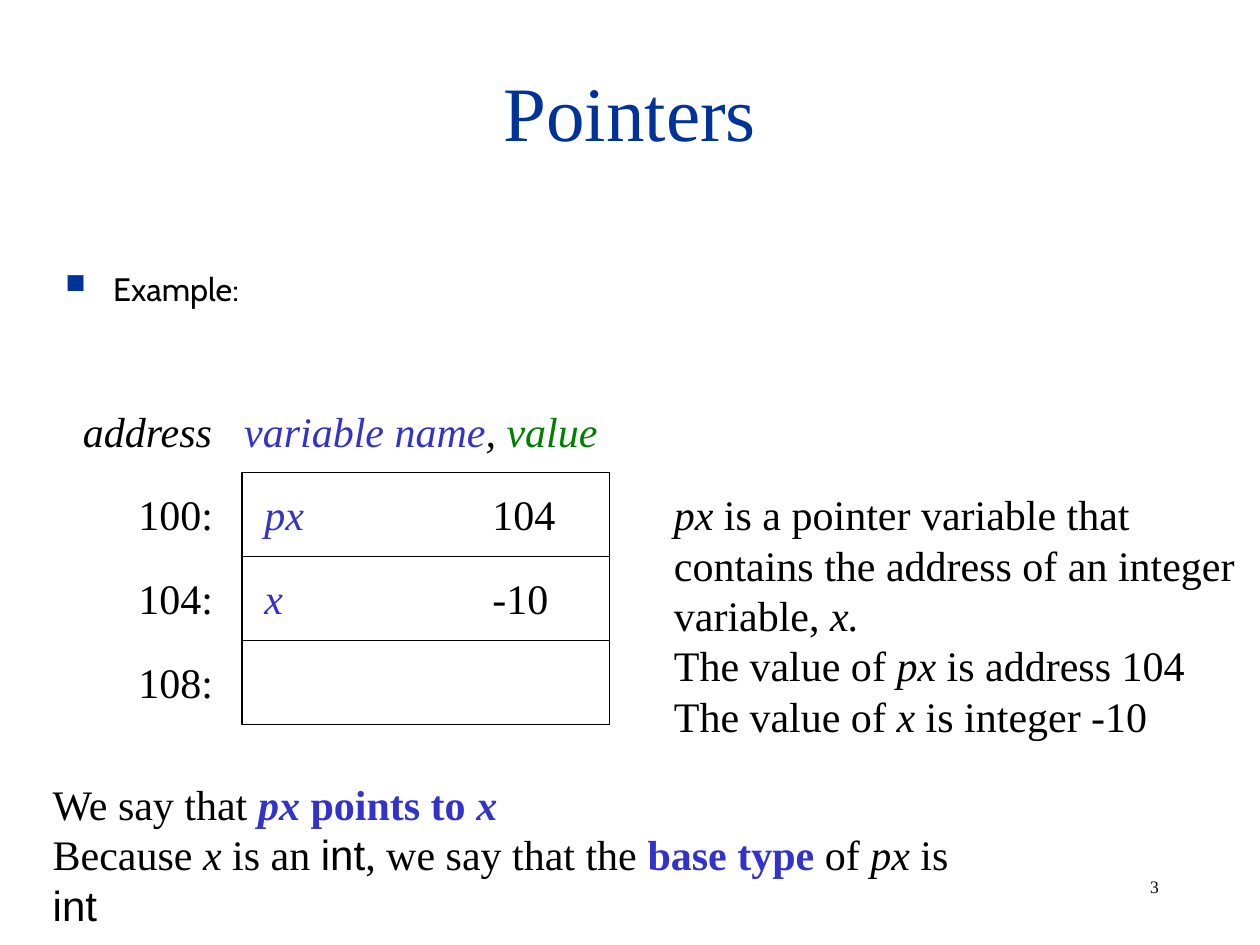
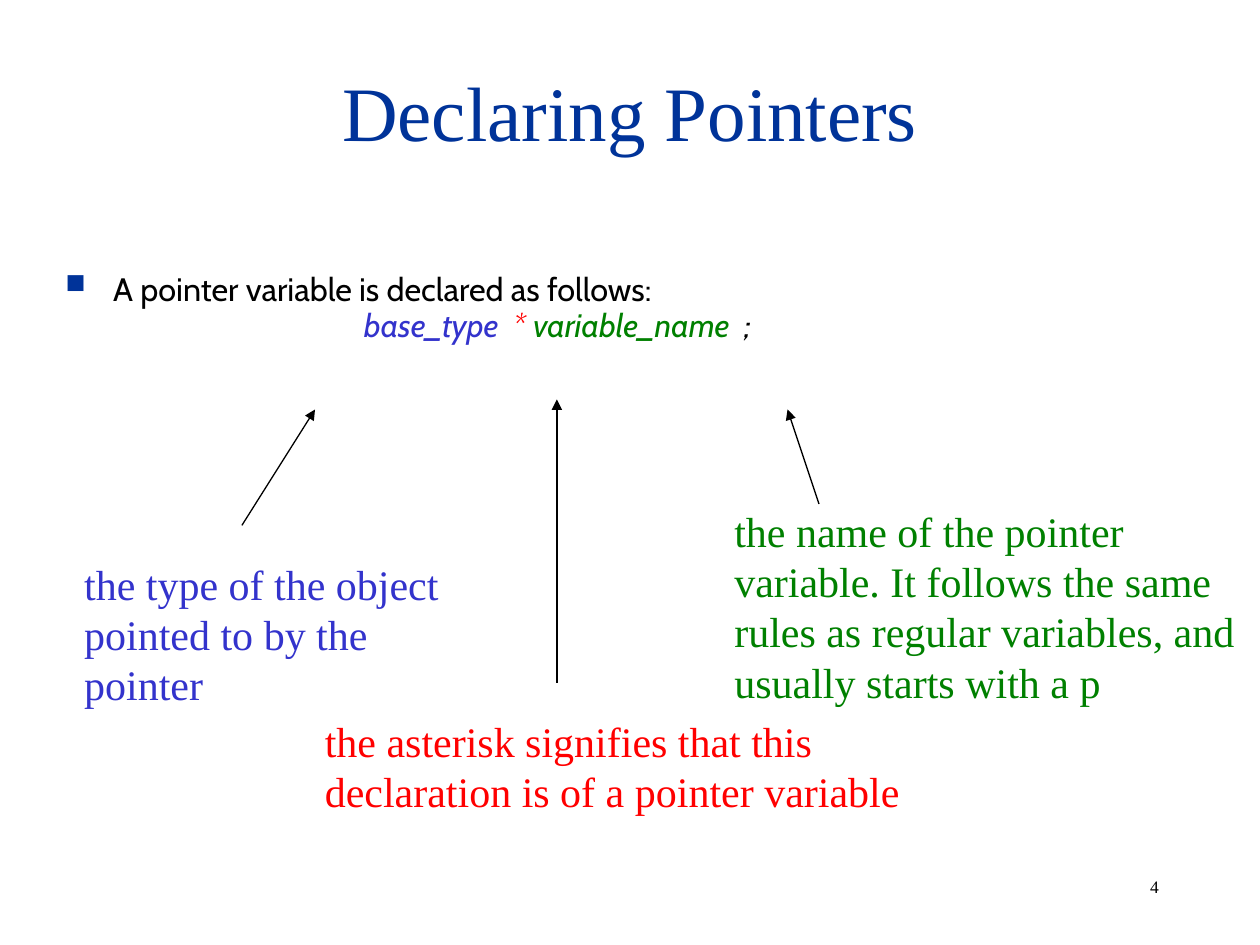
from lxml import etree
from pptx import Presentation
from pptx.dml.color import RGBColor
from pptx.enum.shapes import MSO_CONNECTOR as CONN, MSO_SHAPE as SHAPE
from pptx.enum.text import MSO_ANCHOR as ANCHOR, PP_ALIGN as ALIGN
from pptx.oxml.ns import qn
from pptx.util import Inches, Pt

COLORS = {
    "title": "003399",
    "text": "000000",
    "paper": "FFFFFF",
    "blue": "3333CC",
    "green": "008000",
    "red": "FF0000",
}
SERIF, SANS, BODY = "Times New Roman", "Arial", "Cabin"

# Run styles
PLAIN = {}
ITALIC = {"italic": True}
CODE = {"font": SANS}
BLUE, GREEN, RED = {"color": "blue"}, {"color": "green"}, {"color": "red"}
BLUE_ITALIC = BLUE | ITALIC
KEY = BLUE | {"bold": True}
KEY_ITALIC = KEY | ITALIC


def rgb(name):
    return RGBColor.from_string(COLORS[name])


def add_child(parent, tag, **attrs):
    return etree.SubElement(parent, qn(tag), **attrs)


def add_runs(p, runs, size, font=SERIF, color="text"):
    for text, style in runs:
        r = p.add_run()
        r.text = text
        r.font.size = Pt(size)
        r.font.name = style.get("font", font)
        r.font.bold = style.get("bold", False)
        r.font.italic = style.get("italic", False)
        r.font.color.rgb = rgb(style.get("color", color))


def set_tab(p, pos):
    tabs = add_child(p._p.get_or_add_pPr(), "a:tabLst")
    add_child(tabs, "a:tab", pos=str(Inches(pos)), algn="l")


def add_text(s, box, paragraphs, size=24, wrap=False, tab=None, **look):
    """Text box with one list of runs per paragraph."""
    tf = s.shapes.add_textbox(*map(Inches, box)).text_frame
    tf.word_wrap = wrap
    for i, runs in enumerate(paragraphs):
        p = tf.paragraphs[0] if i == 0 else tf.add_paragraph()
        add_runs(p, runs, size, **look)
        if tab:
            set_tab(p, tab)
    return tf


def add_note(s, box, lines, color):
    add_text(s, box, [[(line, PLAIN)] for line in lines], color=color)


def add_frame(prs, title, number):
    """New slide with the shared title and slide number."""
    s = prs.slides.add_slide(prs.slide_layouts[6])
    tf = add_text(s, (0.75, 0.25, 8.5, 1.25), [[(title, PLAIN)]],
                  size=44, wrap=True, color="title")
    tf.vertical_anchor = ANCHOR.MIDDLE
    tf.paragraphs[0].alignment = ALIGN.CENTER
    add_text(s, (9.03, 6.9, 0.78, 0.27), [[(str(number), PLAIN)]],
             size=10, wrap=True)
    return s


def add_body(s, box, bullet, declaration=None):
    """Bulleted sentence, with an indented declaration below it."""
    paragraphs = [[(bullet, PLAIN)]] + ([declaration] if declaration else [])
    tf = add_text(s, box, paragraphs, size=18.5, wrap=True, font=BODY)
    for p in tf.paragraphs:
        p.line_spacing = 0.7
        p.space_before = Pt(5)
        p._p.get_or_add_pPr().set("marL", str(Inches(2.37)))
    pPr = tf.paragraphs[0]._p.pPr
    pPr.set("marL", str(Inches(0.38)))
    pPr.set("indent", str(-Inches(0.38)))
    add_child(add_child(pPr, "a:buClr"), "a:srgbClr", val=COLORS["title"])
    add_child(pPr, "a:buSzPct", val="85000")
    add_child(pPr, "a:buChar", char="■")


def add_memory(s, box, cells):
    """Header and stacked memory cells, with addresses on the left."""
    left, top, width, height = box
    row_h = height / len(cells)
    for i in range(len(cells)):
        sp = s.shapes.add_shape(SHAPE.RECTANGLE, Inches(left),
                                Inches(top + i * row_h),
                                Inches(width), Inches(row_h))
        sp.shadow.inherit = False
        sp.fill.solid()
        sp.fill.fore_color.rgb = rgb("paper")
        sp.line.color.rgb = rgb("text")
        sp.line.width = Pt(0.75)

    header = [("address\t", ITALIC), ("variable name", BLUE_ITALIC),
              (", ", ITALIC), ("value", GREEN | ITALIC)]
    add_text(s, (left - 1.36, top - 0.58, 4.6, 0.5), [header],
             wrap=True, tab=1.28)

    for i, (address, name, value) in enumerate(cells):
        y = top + i * row_h + 0.08
        add_text(s, (left - 0.92, y, 0.79, 0.5), [[(f"{address}:", PLAIN)]])
        if name:
            add_text(s, (left + 0.08, y, width - 0.17, 0.5),
                     [[(name, BLUE_ITALIC), (f"\t{value}", PLAIN)]],
                     wrap=True, tab=1.81)


def add_arrow(s, start, end):
    line = s.shapes.add_connector(CONN.STRAIGHT, *map(Inches, start + end))
    line.line.color.rgb = rgb("text")
    line.line.width = Pt(0.75)
    add_child(line.line._get_or_add_ln(), "a:tailEnd", type="triangle")
    add_child(line._element.spPr, "a:effectLst")


def build_pointers(prs):
    s = add_frame(prs, "Pointers", 3)
    add_body(s, (0.42, 2.17, 9.25, 0.67), "Example:")
    add_memory(s, (1.92, 3.75, 2.92, 2),
               [(100, "px", "104"), (104, "x", "-10"), (108, "", "")])

    # Explanation beside the memory cells
    add_text(s, (5.25, 3.83, 4.65, 2.1), [
        [("px", ITALIC), (" is a pointer variable that", PLAIN)],
        [("contains the address of an integer", PLAIN)],
        [("variable,", PLAIN), (" x.", ITALIC)],
        [("The value of ", PLAIN), ("px", ITALIC),
         (" is address 104", PLAIN)],
        [("The value of ", PLAIN), ("x", ITALIC),
         (" is integer -10", PLAIN)],
    ])

    # Conclusion
    add_text(s, (0.32, 6.13, 7.74, 0.9), [
        [("We say that ", PLAIN), ("px", KEY_ITALIC),
         (" points to ", KEY), ("x", KEY_ITALIC)],
        [("Because ", PLAIN), ("x", ITALIC), (" is an ", PLAIN),
         ("int", CODE), (", we say that the ", PLAIN), ("base type", KEY),
         (" of ", PLAIN), ("px", ITALIC), (" is ", PLAIN), ("int", CODE)],
    ])


def build_declaring(prs):
    s = add_frame(prs, "Declaring Pointers", 4)
    add_body(s, (0.42, 2.17, 9.25, 1.33),
             "A pointer variable is declared as follows:",
             [("base_type  ", BLUE_ITALIC), ("* ", RED | ITALIC),
              ("variable_name  ", GREEN | ITALIC), (";", ITALIC)])

    # Each part of the declaration: arrow, then its note
    parts = [
        ((1.92, 4.17), (2.5, 3.25), (0.57, 4.38, 3.47, 0.9), "blue",
         ["the type of the object", "pointed to by the pointer"]),
        ((4.42, 5.42), (4.42, 3.17), (2.48, 5.63, 4.76, 0.9), "red",
         ["the asterisk signifies that this",
          "declaration is of a pointer variable"]),
        ((6.5, 4), (6.25, 3.25), (5.73, 3.96, 4.17, 1.7), "green",
         ["the name of the pointer", "variable. It follows the same",
          "rules as regular variables, and", "usually starts with a p"]),
    ]
    for start, end, box, color, lines in parts:
        add_arrow(s, start, end)
        add_note(s, box, lines, color)


def main():
    prs = Presentation()
    prs.slide_width, prs.slide_height = Inches(10), Inches(7.5)
    build_pointers(prs)
    build_declaring(prs)
    prs.save("out.pptx")


if __name__ == "__main__":
    main()
